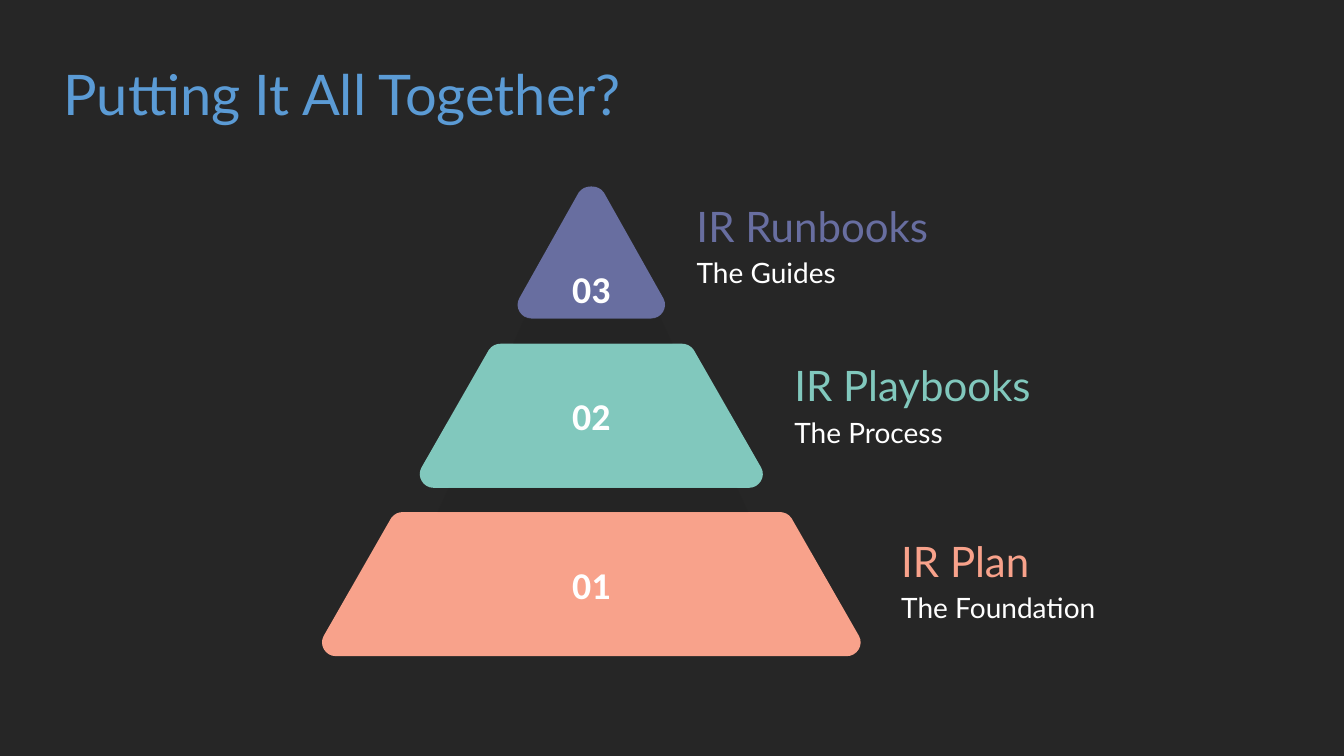
from lxml.etree import SubElement
from pptx import Presentation
from pptx.dml.color import RGBColor
from pptx.enum.text import MSO_ANCHOR, MSO_AUTO_SIZE, PP_ALIGN
from pptx.oxml.ns import qn
from pptx.util import Inches, Pt

COLORS = {
    "background": "262626", "title": "5B9BD5", "white": "FFFFFF", "band": "1D1D1B",
    "runbooks": "686EA0", "playbooks": "81C8BD", "plan": "F8A28B",
}
LEFT_AXIS, RIGHT_AXIS = 5.86, 5.87


def write(para, text, color, **formats):
    span = para.add_run()
    span.text = text
    span.font.color.rgb = RGBColor.from_string(COLORS[color])
    for name, value in formats.items():
        setattr(span.font, name, value)


def draw_outline(page, points, color):
    corners = [(Inches(x), Inches(y)) for x, y in points]
    builder = page.shapes.build_freeform(*corners[0], scale=1.0)
    builder.add_line_segments(corners[1:], close=True)
    shape = builder.convert_to_shape()
    shape.shadow.inherit = False
    shape.fill.solid()
    shape.fill.fore_color.rgb = RGBColor.from_string(COLORS[color])
    shape.line.fill.background()
    return shape


deck = Presentation()
deck.slide_width, deck.slide_height = Inches(13.33), Inches(7.5)
page = deck.slides.add_slide(deck.slide_layouts[5])
page.background.fill.solid()
page.background.fill.fore_color.rgb = RGBColor.from_string(COLORS["background"])

# Title
title = page.shapes.title
title.left, title.top = Inches(0.53), Inches(0.24)
title.width, title.height = Inches(11.5), Inches(1.45)
title.text_frame.vertical_anchor = MSO_ANCHOR.MIDDLE
title.text_frame.auto_size = MSO_AUTO_SIZE.NONE
para = title.text_frame.paragraphs[0]
para.alignment, para.line_spacing = PP_ALIGN.LEFT, 0.9
write(para, "Putting It All Together?", "title", name="Lato", size=Pt(40))

# Pyramid tiers: number, colour, half widths of the flat top and bottom, top, bottom,
# anchor, bottom inset
tiers = [
    ("03", "runbooks", 0, 0.59, 1.85, 3.16, MSO_ANCHOR.BOTTOM, 0.07),
    ("02", "playbooks", 0.89, 1.56, 3.41, 4.84, MSO_ANCHOR.MIDDLE, 0),
    ("01", "plan", 1.86, 2.53, 5.08, 6.51, MSO_ANCHOR.MIDDLE, 0),
]
for number, color, top_half, bottom_half, top, bottom, anchor, inset in tiers:
    lower_corner = [(bottom_half + dx, bottom - dy)
                    for dx, dy in ((0, 0), (0.1, 0), (0.17, 0.11), (0.12, 0.2))]
    upper_corner = [(top_half + dx, top + dy)
                    for dx, dy in ((0.12, 0.06), (0.09, 0.02), (0.05, 0), (0, 0))]
    right = [[(RIGHT_AXIS + x, y) for x, y in corner]
             for corner in (lower_corner, upper_corner)]
    left = [[(LEFT_AXIS - x, y) for x, y in reversed(corner)]
            for corner in (upper_corner, lower_corner)]
    curves = right + left
    ends = [point for curve in curves for point in (curve[0], curve[-1])]
    tier = draw_outline(page, ends, color)

    # Every other segment is a rounded corner
    segments = list(tier._element.iter(qn("a:lnTo")))
    for segment, curve in zip(segments[::2], curves):
        segment.tag = qn("a:cubicBezTo")
        for place, (x, y) in enumerate(curve[1:3]):
            control = SubElement(segment, qn("a:pt"), x=str(Inches(x) - tier.left),
                                 y=str(Inches(y) - tier.top))
            segment.insert(place, control)

    frame = tier.text_frame
    frame.word_wrap = True
    frame.vertical_anchor = anchor
    frame.margin_top, frame.margin_bottom = 0, Inches(inset)
    para = frame.paragraphs[0]
    para.alignment = PP_ALIGN.CENTER
    write(para, number, "white", name="Calibri", size=Pt(27), bold=True)

# Translucent bands between the tiers
bands = [
    [(6.54, 3.13), (6.67, 3.41), (5.09, 3.41), (5.21, 3.14), (5.27, 3.16),
     (6.46, 3.16), (6.53, 3.14)],
    [(4.45, 4.84), (7.31, 4.84), (7.42, 5.08), (4.34, 5.08)],
]
for points in bands:
    band = draw_outline(page, points, "band")
    fill_color = band._element.spPr.find(qn("a:solidFill"))[0]
    SubElement(fill_color, qn("a:alpha"), val="15000")

# Labels beside the tiers
labels = [
    ("IR Runbooks", "The Guides", "runbooks", 6.81, 1.94),
    ("IR Playbooks", "The Process", "playbooks", 7.78, 3.52),
    ("IR Plan", "The Foundation", "plan", 8.84, 5.26),
]
for heading, detail, color, left, top in labels:
    group = page.shapes.add_group_shape()
    lines = [
        (heading, color, 30, top, 4.07, 0.61),
        (detail, "white", 20, top + 0.55, min(5.39, 13.33 - left), 0.44),
    ]
    for text, text_color, size, y, width, height in lines:
        box = group.shapes.add_textbox(Inches(left), Inches(y), Inches(width), Inches(height))
        box.text_frame.word_wrap = True
        box.text_frame.auto_size = MSO_AUTO_SIZE.SHAPE_TO_FIT_TEXT
        write(box.text_frame.paragraphs[0], text, text_color, name="Lato", size=Pt(size))

deck.save("out.pptx")
